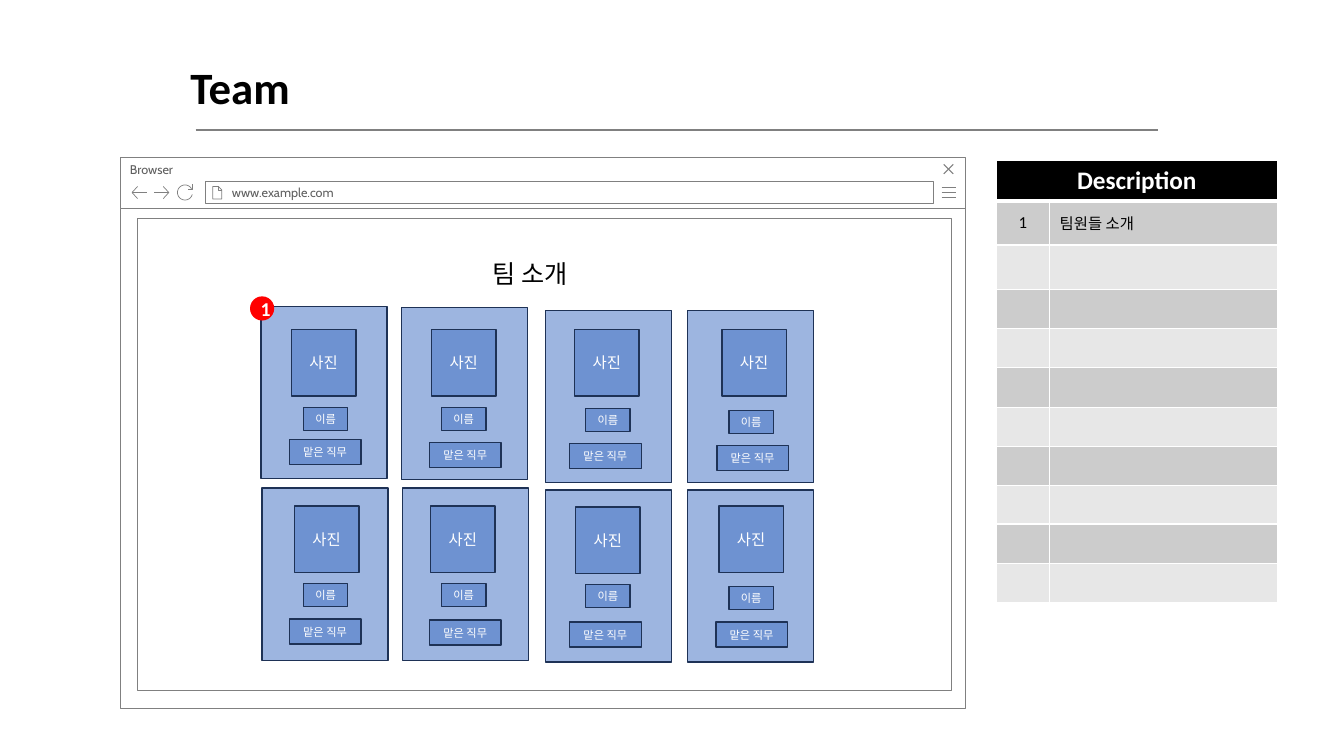
from math import cos, radians, sin

from lxml import etree
from pptx import Presentation
from pptx.dml.color import RGBColor
from pptx.enum.shapes import MSO_CONNECTOR, MSO_SHAPE
from pptx.enum.text import MSO_ANCHOR, MSO_AUTO_SIZE, PP_ALIGN
from pptx.oxml.ns import qn
from pptx.util import Pt

RECT, OVAL = MSO_SHAPE.RECTANGLE, MSO_SHAPE.OVAL
LEFT, CENTER = PP_ALIGN.LEFT, PP_ALIGN.CENTER
TOP, MIDDLE = MSO_ANCHOR.TOP, MSO_ANCHOR.MIDDLE

BLACK = RGBColor(0x00, 0x00, 0x00)
WHITE = RGBColor(0xFF, 0xFF, 0xFF)
GRAY = RGBColor(0x80, 0x80, 0x80)
INK = RGBColor(0x5F, 0x5F, 0x5F)
BLUE = RGBColor(0x44, 0x72, 0xC4)
NAVY = RGBColor(0x1E, 0x32, 0x56)
RED = RGBColor(0xFF, 0x00, 0x00)
DARK = RGBColor(0xCC, 0xCC, 0xCC)
LIGHT = RGBColor(0xE7, 0xE7, 0xE7)

SCALE = 9144  # EMU per px, 100 px to the inch

# Card corner, then the offsets of photo, name and job inside it
CARDS = [
    ((259, 304), (30, 23), (42, 100), (28, 132)),
    ((398, 305), (30, 22), (40, 99), (28, 134)),
    ((541, 308), (29, 19), (40, 97), (24, 132)),
    ((682, 308), (34, 19), (41, 99), (29, 134)),
    ((260, 484), (32, 18), (41, 95), (27, 130)),
    ((399, 484), (28, 18), (39, 95), (27, 131)),
    ((541, 486), (30, 17), (40, 94), (24, 131)),
    ((682, 486), (31, 16), (41, 96), (28, 131)),
]
# Label, width, height and text size of the boxes in a card
PARTS = [("사진", 64, 66, 11), ("이름", 44, 23, 8), ("맡은 직무", 71, 25, 8)]
ROWS = [35, 44, 44, 39, 39, 39, 39, 39, 38, 39, 39]


def px(n):
    return round(n * SCALE)


def write(frame, text, size, color, font="Calibri", bold=False, align=LEFT):
    para = frame.paragraphs[0]
    para.alignment = align
    run = para.add_run()
    run.text = text
    run.font.size = Pt(size)
    run.font.name = font
    run.font.bold = bold
    run.font.color.rgb = color


def add_box(slide, x, y, w, h, fill=WHITE, line=GRAY, width=0.5, kind=RECT):
    box = slide.shapes.add_shape(kind, px(x), px(y), px(w), px(h))
    box.shadow.inherit = False
    box.fill.solid()
    box.fill.fore_color.rgb = fill
    if line is None:
        box.line.fill.background()
    else:
        box.line.color.rgb = line
        box.line.width = Pt(width)
    return box


def add_tint(slide, x, y, w, h):
    box = add_box(slide, x, y, w, h, BLUE, NAVY, 1)
    color = box.element.spPr.find(qn("a:solidFill")).find(qn("a:srgbClr"))
    etree.SubElement(color, qn("a:alpha")).set("val", "52000")
    return box


def add_icon(slide, x, y, strokes, width=0.5):
    paths = [[(px(x + a), px(y + b)) for a, b in path] for path in strokes]
    pen = slide.shapes.build_freeform(*paths[0][0])
    for i, path in enumerate(paths):
        if i:
            pen.move_to(*path[0])
        pen.add_line_segments(path[1:], close=False)
    icon = pen.convert_to_shape()
    icon.shadow.inherit = False
    icon.fill.background()
    icon.line.color.rgb = GRAY
    icon.line.width = Pt(width)


def add_title(slide, x, y, w, h):
    box = slide.shapes.add_textbox(px(x), px(y), px(w), px(h))
    box.text_frame.word_wrap = False
    box.text_frame.auto_size = MSO_AUTO_SIZE.SHAPE_TO_FIT_TEXT
    write(box.text_frame, "Team", 32, BLACK, bold=True)
    rule = slide.shapes.add_connector(
        MSO_CONNECTOR.STRAIGHT, px(x + 15), px(y + 75), px(x + 970), px(y + 75))
    rule.line.color.rgb = GRAY
    rule.line.width = Pt(1.5)
    etree.SubElement(rule.element.spPr, qn("a:effectLst"))


def add_browser(slide, x, y, w, h):
    bar = 51
    add_box(slide, x, y + bar, w, h - bar)
    # Title bar and address field
    head = add_box(slide, x, y, w, bar)
    head.text_frame.vertical_anchor = TOP
    head.text_frame.margin_right = px(25)
    write(head.text_frame, "Browser", 9, INK, "Cabin")
    field = add_box(slide, x + 85, y + 24, w - 116, 22)
    field.text_frame.vertical_anchor = MIDDLE
    field.text_frame.margin_left = px(26)
    write(field.text_frame, "www.example.com", 9, INK, "Cabin")
    # Menu, close and page icons
    add_icon(slide, x + 815, y + 30,
             [[(0, n), (14, n)] for n in (0, 5, 10)])
    add_icon(slide, x + 817, y + 7,
             [[(0, 0), (9.5, 9.5)], [(9.5, 0), (0, 9.5)]], 0.75)
    add_icon(slide, x + 92, y + 29,
             [[(5.5, 0), (5.5, 3.5), (9, 3.5)],
              [(0, 0), (0, 12.5), (9, 12.5), (9, 3.5), (5.5, 0), (0, 0)]])
    # Back, forward and reload icons
    add_icon(slide, x + 12, y + 29,
             [[(5.5, 0), (0, 6), (5.5, 12)], [(0, 6), (14.5, 6)]])
    add_icon(slide, x + 34, y + 29,
             [[(9, 0), (14.5, 6), (9, 12)], [(14.5, 6), (0, 6)]])
    arc = [(7.5 + 7.5 * cos(radians(d)), 8 + 7.5 * sin(radians(d)))
           for d in range(15, 331, 15)]
    add_icon(slide, x + 57, y + 27,
             [[(15, 0), (15, 5), (10, 5)], arc])
    # Page area
    add_box(slide, x + 17, y + 61, 808, 468)


def add_card(slide, x, y, spots):
    add_tint(slide, x, y, 125, 171)
    for (dx, dy), (text, w, h, size) in zip(spots, PARTS):
        box = add_tint(slide, x + dx, y + dy, w, h)
        write(box.text_frame, text, size, WHITE, align=CENTER)


def add_team(slide, x, y, w, h):
    head = add_box(slide, x, y, w, h, line=None)
    write(head.text_frame, "팀 소개", 18, BLACK, align=CENTER)
    for (cx, cy), *spots in CARDS:
        add_card(slide, cx, cy, spots)
    # Numbered marker
    mark = add_box(slide, x - 96, y + 55, 24, 24, RED, None, kind=OVAL)
    write(mark.text_frame, "1", 14, WHITE, bold=True, align=CENTER)


def style_cell(cell, fill, base=1):
    props = cell._tc.get_or_add_tcPr()
    for side, width in (("L", 1), ("R", 1), ("T", 1), ("B", base)):
        edge = etree.SubElement(props, qn("a:ln" + side), w=str(Pt(width)))
        paint = etree.SubElement(edge, qn("a:solidFill"))
        etree.SubElement(paint, qn("a:srgbClr"), val=str(WHITE))
    cell.fill.solid()
    cell.fill.fore_color.rgb = fill


def add_notes(slide, x, y, w, h):
    grid = slide.shapes.add_table(
        len(ROWS), 2, px(x), px(y), px(w), px(h)).table
    for col, wide in zip(grid.columns, (53, w - 53)):
        col.width = px(wide)
    for i, high in enumerate(ROWS):
        grid.rows[i].height = px(high)
        fill = (DARK if i % 2 else LIGHT) if i else BLACK
        for j in range(2):
            cell = grid.cell(i, j)
            style_cell(cell, fill, 1 if i else 3)
            if i > 1:  # keeps empty rows at their set height
                cell.margin_top = cell.margin_bottom = 0
    # Heading and first entry
    grid.cell(0, 0).merge(grid.cell(0, 1))
    write(grid.cell(0, 0).text_frame, "Description", 18, WHITE,
          bold=True, align=CENTER)
    num, note = grid.cell(1, 0), grid.cell(1, 1)
    num.vertical_anchor = note.vertical_anchor = MIDDLE
    write(num.text_frame, "1", 12, BLACK, align=CENTER)
    write(note.text_frame, "팀원들 소개", 11, BLACK)


def main():
    deck = Presentation()
    deck.slide_width, deck.slide_height = px(1333), px(750)
    slide = deck.slides.add_slide(deck.slide_layouts[6])
    add_browser(slide, 119, 156, 838, 547)
    add_title(slide, 179, 54, 132, 64)
    add_notes(slide, 988, 159, 279, 440)
    add_team(slide, 344, 239, 363, 65)
    deck.save("out.pptx")


if __name__ == "__main__":
    main()
